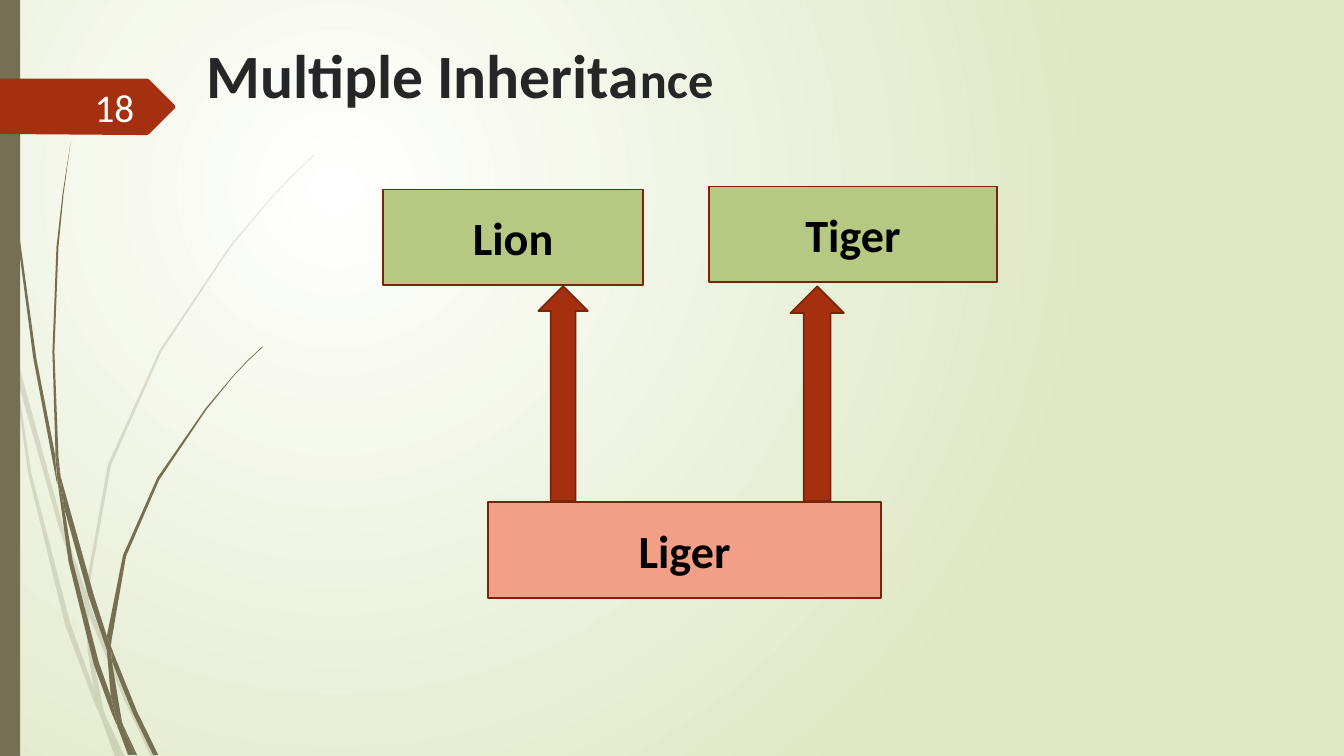
import dataclasses
import typing

import lxml.etree
import pptx
import pptx.dml.color
import pptx.enum.shapes
import pptx.enum.text
import pptx.oxml.ns
import pptx.util

SHAPE = pptx.enum.shapes.MSO_SHAPE
ALIGN = pptx.enum.text.PP_ALIGN
ANCHOR = pptx.enum.text.MSO_ANCHOR
qn = pptx.oxml.ns.qn

# Slide grid: 1333 columns by 750 rows of square cells
COLS, ROWS = 1333, 750
CELL = pptx.util.Inches(0.01)


@dataclasses.dataclass(frozen=True)
class Theme:
    font: str = "Calibri"
    paper: str = "FFFFFF"
    paper_edge: str = "DFE8C4"
    stem: str = "766F54"
    accent: str = "A53010"
    border: str = "7A240C"
    parent: str = "B6C882"
    child: str = "F39E87"
    title_ink: str = "262626"
    label_ink: str = "000000"
    number_ink: str = "FFFFFF"
    title_pt: int = 44
    title_end_pt: int = 36
    label_pt: int = 33
    number_pt: int = 28
    border_pt: float = 1.25
    pale_alpha: int = 20


THEME = Theme()


class Cells(typing.NamedTuple):
    col: int
    row: int
    cols: int
    rows: int

    def emu(self) -> list[int]:
        return [n * CELL for n in self]


class Run(typing.NamedTuple):
    text: str
    size: int
    color: str
    bold: bool = True


class Node(typing.NamedTuple):
    label: str
    cells: Cells
    fill: str


# Outlines: column,row corners on the grid
PALE_STEMS = [
    "11,350 9,322 0,282 0,299 10,344",
    "58,522 84,599 85,586 62,520 14,345 17,376",
    "92,607 88,596 88,610 123,694 150,751 155,751 127,692",
    "119,751 124,751 105,711",
    "93,683 70,619 31,469 17,376 11,350 28,470 65,621 92,693 101,714 99,707",
    "84,599 87,646 93,683 96,692 105,711 103,706 91,646 88,610 88,608",
    "88,584 110,462 160,349 229,245 268,198 290,175 312,154 312,153 "
    "289,175 268,197 228,244 158,348 107,461 85,584 85,586 88,596",
    "101,714 114,751 119,751",
    "88,608 88,610 88,596 85,586 84,599",
    "96,692 93,683 99,707 101,714 119,751 105,711",
]
DARK_STEMS = [
    "7,110 17,233 33,355 56,477 57,481 55,457 55,453 36,355 19,232 8,109 5,48 4,0 3,0 4,48",
    "88,592 106,645 106,633 106,631 93,590 60,472 64,505",
    "113,649 110,641 111,656 132,708 152,749 157,749 136,706",
    "110,691 98,657 72,556 64,505 57,477 68,557 93,659 111,708 117,722 116,717",
    "60,472 58,453 54,349 58,245 63,193 70,141 62,193 56,245 52,349 55,449",
    "133,749 136,749 122,719",
    "57,477 64,505 60,472 55,449 55,453",
    "111,633 125,552 158,476 205,406 231,374 245,359 261,344 260,344 "
    "245,358 231,373 204,405 156,474 122,551 106,631 110,641",
    "117,722 127,749 131,749",
    "106,645 110,691 116,706 122,719 121,716 111,656 109,651",
    "106,645 109,651 111,656 110,641 106,631 106,633",
    "116,706 110,691 116,717 117,722 130,749 133,749 122,719",
]
NUMBER_TAG = "0,78 146,78 148,79 173,104 174,106 173,108 148,133 146,134 136,134 0,133"

# Diagram
NODES = [
    Node("Liger", Cells(484, 498, 390, 95), THEME.child),
    Node("Lion", Cells(380, 188, 258, 95), THEME.parent),
    Node("Tiger", Cells(703, 185, 286, 95), THEME.parent),
]
ARROWS = [Cells(534, 284, 49, 213), Cells(784, 284, 53, 213)]


def rgb(color: str) -> pptx.dml.color.RGBColor:
    return pptx.dml.color.RGBColor.from_string(color)


def paint(sp, fill: str, border: str | None = None) -> None:
    sp.shadow.inherit = False
    sp.fill.solid()
    sp.fill.fore_color.rgb = rgb(fill)
    if border:
        sp.line.color.rgb = rgb(border)
        sp.line.width = pptx.util.Pt(THEME.border_pt)
    else:
        sp.line.fill.background()


def add_outline(shapes, outline: str, fill: str, alpha: int = 100) -> None:
    corners = [tuple(int(n) for n in pair.split(",")) for pair in outline.split()]
    builder = shapes.build_freeform(*corners[0], scale=CELL)
    builder.add_line_segments(corners[1:], close=True)
    sp = builder.convert_to_shape()
    paint(sp, fill)
    if alpha < 100:
        color = sp._element.spPr.find(qn("a:solidFill")).find(qn("a:srgbClr"))
        lxml.etree.SubElement(color, qn("a:alpha")).set("val", str(alpha * 1000))


def add_block(shapes, kind: SHAPE, cells: Cells, fill: str, border: str | None = None):
    sp = shapes.add_shape(kind, *cells.emu())
    paint(sp, fill, border)
    return sp


def write(sp, runs: list[Run], align: ALIGN, anchor: ANCHOR) -> None:
    tf = sp.text_frame
    tf.word_wrap, tf.vertical_anchor = True, anchor
    p = tf.paragraphs[0]
    p.alignment = align
    for run in runs:
        r = p.add_run()
        r.text = run.text
        r.font.color.rgb = rgb(run.color)
        formats = {"name": THEME.font, "size": pptx.util.Pt(run.size), "bold": run.bold}
        for name, value in formats.items():
            setattr(r.font, name, value)


def paint_background(s) -> None:
    fill = s.background.fill
    fill.gradient()
    for stop, color in zip(fill.gradient_stops, (THEME.paper, THEME.paper_edge)):
        stop.color.rgb = rgb(color)
    grad = next(s._element.iter(qn("a:gradFill")))
    grad.remove(grad.find(qn("a:lin")))
    circle = lxml.etree.SubElement(grad, qn("a:path"), {"path": "circle"})
    focus = {"l": "50000", "t": "50000", "r": "100000", "b": "100000"}
    lxml.etree.SubElement(circle, qn("a:fillToRect"), focus)


def main() -> None:
    prs = pptx.Presentation()
    prs.slide_width, prs.slide_height = COLS * CELL, ROWS * CELL
    s = prs.slides.add_slide(prs.slide_layouts[6])
    paint_background(s)

    # Stems, side bar and number tag
    for stems, alpha in ((PALE_STEMS, THEME.pale_alpha), (DARK_STEMS, 100)):
        group = s.shapes.add_group_shape()
        for stem in stems:
            add_outline(group.shapes, stem, THEME.stem, alpha)
    add_block(s.shapes, SHAPE.RECTANGLE, Cells(0, 0, 20, ROWS), THEME.stem)
    add_outline(s.shapes, NUMBER_TAG, THEME.accent)

    # Title and slide number
    title = [Run("Multiple Inherita", THEME.title_pt, THEME.title_ink),
             Run("nce", THEME.title_end_pt, THEME.title_ink)]
    write(s.shapes.add_textbox(*Cells(195, 28, 794, 87).emu()), title, ALIGN.LEFT, ANCHOR.BOTTOM)
    number = [Run("18", THEME.number_pt, THEME.number_ink, bold=False)]
    write(s.shapes.add_textbox(*Cells(58, 86, 85, 40).emu()), number, ALIGN.RIGHT, ANCHOR.MIDDLE)

    # Inheritance diagram
    diagram = s.shapes.add_group_shape().shapes
    for node in NODES:
        sp = add_block(diagram, SHAPE.RECTANGLE, node.cells, node.fill, THEME.border)
        write(sp, [Run(node.label, THEME.label_pt, THEME.label_ink)], ALIGN.CENTER, ANCHOR.MIDDLE)
    for cells in ARROWS:
        add_block(diagram, SHAPE.DOWN_ARROW, cells, THEME.accent, THEME.border).rotation = 180

    prs.save("out.pptx")


if __name__ == "__main__":
    main()
